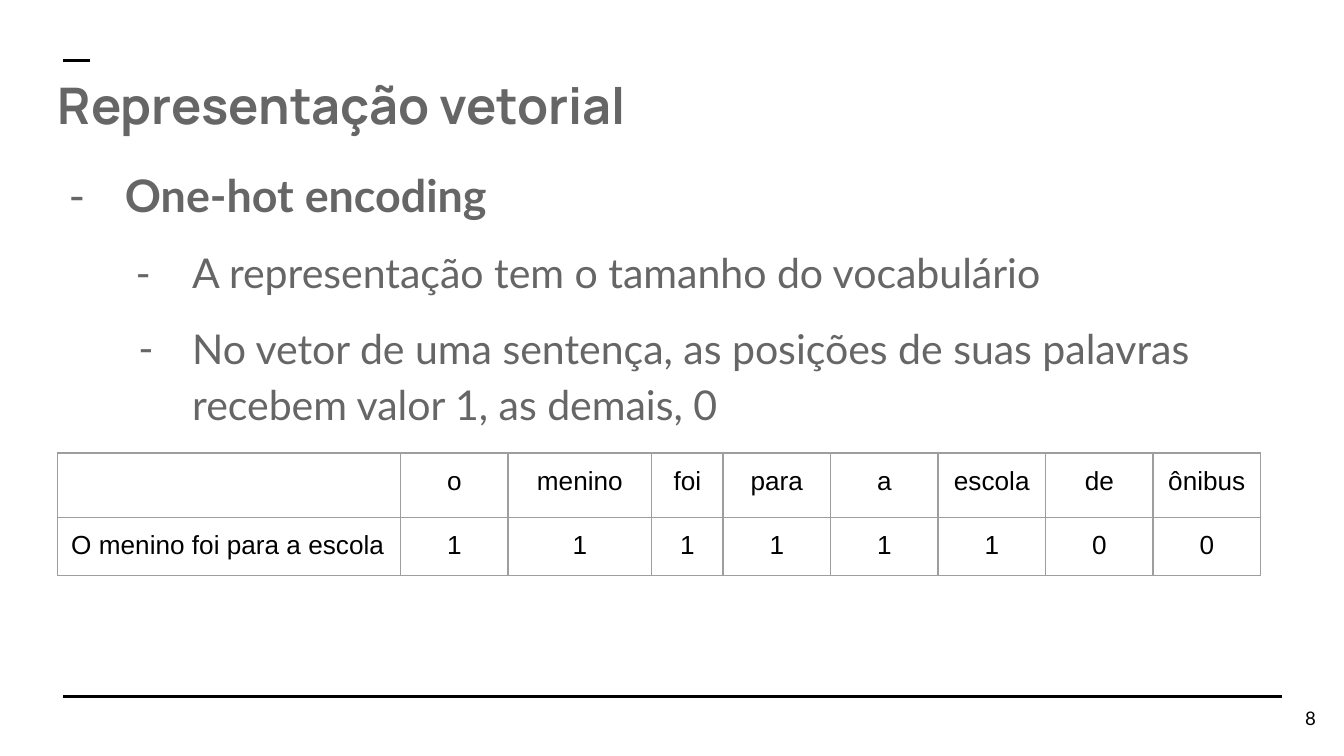
from lxml import etree
from pptx import Presentation
from pptx.dml.color import RGBColor
from pptx.enum.shapes import MSO_CONNECTOR
from pptx.enum.text import MSO_ANCHOR, MSO_AUTO_SIZE, PP_ALIGN
from pptx.oxml.ns import qn
from pptx.util import Inches, Pt

STRAIGHT = MSO_CONNECTOR.STRAIGHT
TOP, MIDDLE = MSO_ANCHOR.TOP, MSO_ANCHOR.MIDDLE
LEFT, CENTER, RIGHT = PP_ALIGN.LEFT, PP_ALIGN.CENTER, PP_ALIGN.RIGHT

COLORS = {"background": "FFFFFF", "text": "666666", "ink": "000000", "border": "9E9E9E"}
MARGIN = Inches(0.1)

# level, hanging indent, size, bold, line spacing, space before, text
BULLETS = [
    (0, 0.42, 24, True, 1.0, 0, "One-hot encoding"),
    (1, 0.42, 22, False, 1.15, 10, "A representação tem o tamanho do vocabulário"),
    (1, 0.4, 22, False, 1.15, 10,
     "No vetor de uma sentença, as posições de suas palavras recebem valor 1, as demais, 0"),
]
SENTENCE = "O menino foi para a escola"
VOCABULARY = ["o", "menino", "foi", "para", "a", "escola", "de", "ônibus"]
WORD_WIDTHS = {"menino": 1.07, "foi": 0.53}


def rgb(name):
    return RGBColor.from_string(COLORS[name])


def add_run(paragraph, text, font, size, color, bold=False):
    run = paragraph.add_run()
    run.text = text
    run.font.name = font
    run.font.size = Pt(size)
    run.font.bold = bold
    run.font.color.rgb = rgb(color)


def place(shape, box, anchor):
    """Move a text shape to a box in inches and set up its text frame."""
    shape.left, shape.top, shape.width, shape.height = map(Inches, box)
    frame = shape.text_frame
    frame.word_wrap = True
    frame.auto_size = MSO_AUTO_SIZE.NONE
    frame.vertical_anchor = anchor
    frame.margin_left = frame.margin_right = MARGIN
    frame.margin_top = frame.margin_bottom = MARGIN
    return frame


def add_rule(slide, left, top, width):
    line = slide.shapes.add_connector(
        STRAIGHT, Inches(left), Inches(top), Inches(left + width), Inches(top))
    line.line.color.rgb = rgb("ink")
    line.line.width = Pt(1.5)
    etree.SubElement(line._element.spPr, qn("a:effectLst"))


def add_color(parent, color):
    etree.SubElement(parent, qn("a:srgbClr"), val=COLORS[color])


def fill_title(slide, box):
    paragraph = place(slide.shapes.title, box, TOP).paragraphs[0]
    paragraph.alignment = LEFT
    add_run(paragraph, "Representação vetorial", "Manrope", 27, "text", bold=True)


def set_dash_bullet(paragraph, left, hanging):
    properties = paragraph._p.get_or_add_pPr()
    properties.set("marL", str(Inches(left)))
    properties.set("indent", str(-Inches(hanging)))
    add_color(etree.SubElement(properties, qn("a:buClr")), "text")
    etree.SubElement(properties, qn("a:buFont"), typeface="Lato")
    etree.SubElement(properties, qn("a:buChar"), char="-")


def fill_body(slide, box):
    frame = place(slide.placeholders[1], box, TOP)
    for index, (level, hanging, size, bold, spacing, before, text) in enumerate(BULLETS):
        paragraph = frame.add_paragraph() if index else frame.paragraphs[0]
        paragraph.level = level
        paragraph.line_spacing = spacing
        paragraph.space_before = Pt(before)
        set_dash_bullet(paragraph, 0.5 * (level + 1), hanging)
        add_run(paragraph, text, "Lato", size, "text", bold)


def format_cell(cell, text, alignment):
    cell.margin_left = cell.margin_right = MARGIN
    cell.margin_top = cell.margin_bottom = MARGIN
    paragraph = cell.text_frame.paragraphs[0]
    paragraph.alignment = alignment
    if text:
        add_run(paragraph, text, "Arial", 14, "ink")
    else:
        end = etree.SubElement(paragraph._p, qn("a:endParaRPr"), sz="1800")
        etree.SubElement(end, qn("a:latin"), typeface="Arial")
    properties = cell._tc.get_or_add_tcPr()
    for side in ("lnL", "lnR", "lnT", "lnB"):
        border = etree.SubElement(properties, qn(f"a:{side}"), w=str(Pt(0.75)))
        add_color(etree.SubElement(border, qn("a:solidFill")), "border")
    cell.fill.solid()
    cell.fill.fore_color.rgb = rgb("background")


def add_encoding_table(slide, left, top):
    widths = [2.55] + [WORD_WIDTHS.get(word, 0.8) for word in VOCABULARY]
    heights = [0.42, 0.43]
    known = SENTENCE.lower().split()
    rows = [[""] + VOCABULARY,
            [SENTENCE] + [str(int(word in known)) for word in VOCABULARY]]
    table = slide.shapes.add_table(
        len(rows), len(widths), Inches(left), Inches(top),
        Inches(sum(widths)), Inches(sum(heights))).table
    table.first_row = table.horz_banding = False
    for column, width in zip(table.columns, widths):
        column.width = Inches(width)
    for row, height, texts in zip(table.rows, heights, rows):
        row.height = Inches(height)
        for index, (cell, text) in enumerate(zip(row.cells, texts)):
            format_cell(cell, text, CENTER if index else LEFT)


def add_page_number(slide, box):
    frame = place(slide.shapes.add_textbox(0, 0, 0, 0), box, MIDDLE)
    paragraph = frame.paragraphs[0]
    paragraph.alignment = RIGHT
    add_run(paragraph, "8", "Lato", 10, "ink")


def main():
    presentation = Presentation()
    presentation.slide_width = Inches(10)
    presentation.slide_height = presentation.slide_width * 9 // 16
    slide = presentation.slides.add_slide(presentation.slide_layouts[1])
    slide.background.fill.solid()
    slide.background.fill.fore_color.rgb = rgb("background")
    add_rule(slide, 0.47, 5.18, 9.07)
    add_rule(slide, 0.47, 0.45, 0.2)
    add_page_number(slide, (9.29, 5.13, 0.6, 0.43))
    fill_title(slide, (0.33, 0.45, 9.32, 0.7))
    fill_body(slide, (0.33, 1.15, 9.15, 3.85))
    add_encoding_table(slide, 0.43, 3.37)
    presentation.save("out.pptx")


if __name__ == "__main__":
    main()
